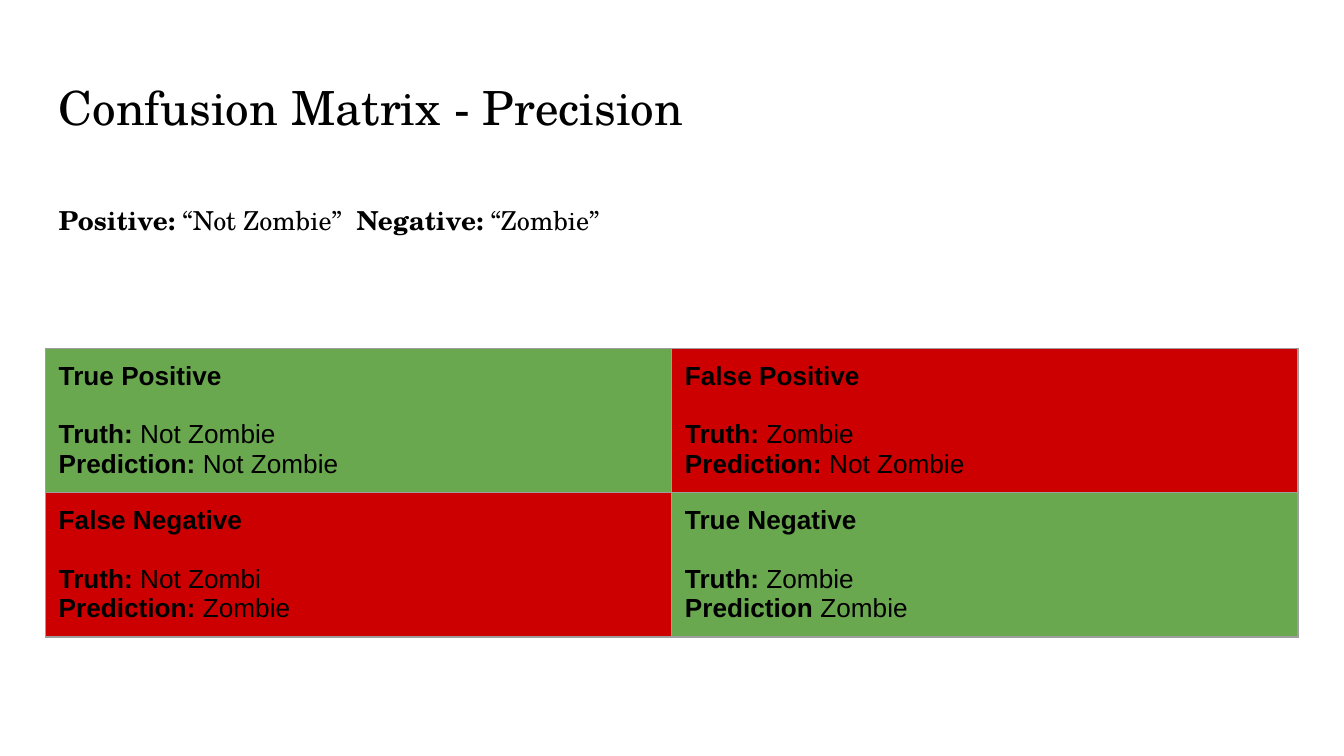
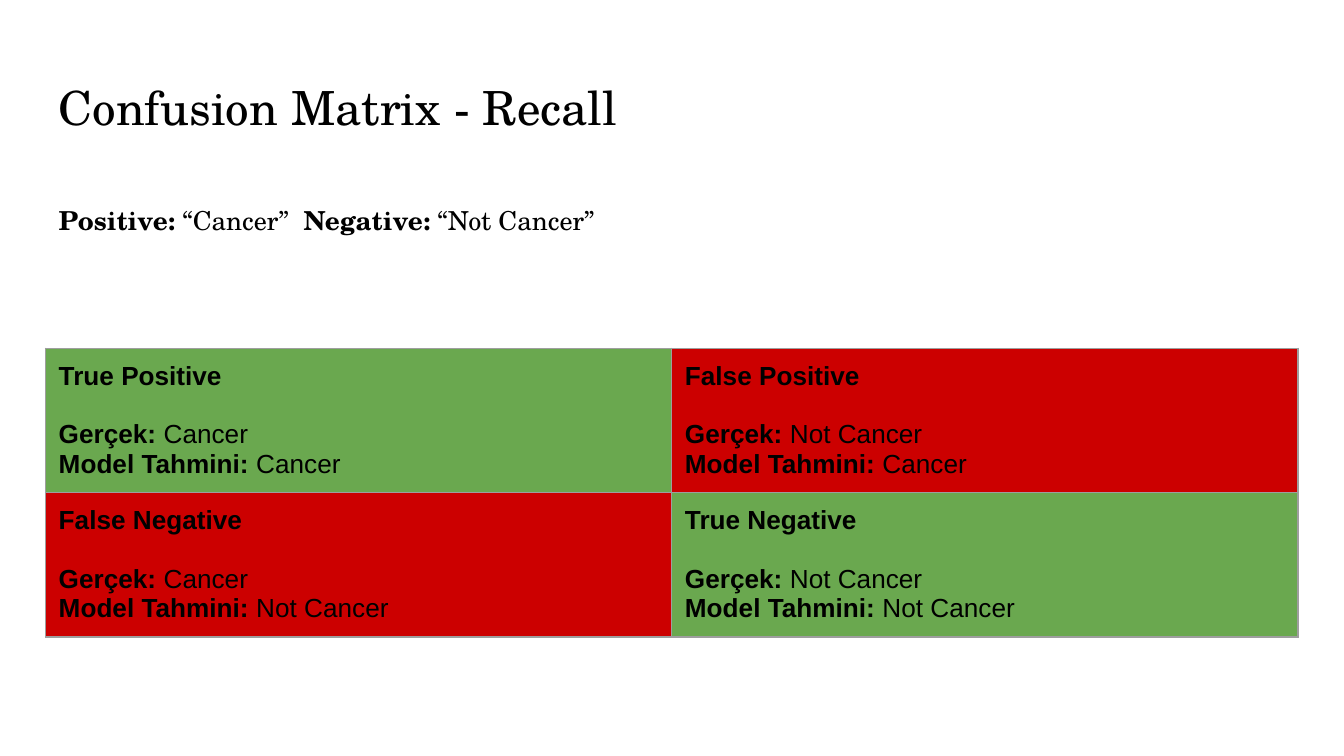
from dataclasses import dataclass

from lxml import etree
from pptx import Presentation
from pptx.dml.color import RGBColor
from pptx.enum.text import MSO_ANCHOR, MSO_AUTO_SIZE, PP_ALIGN
from pptx.oxml.ns import qn
from pptx.util import Cm, Pt

LEFT = PP_ALIGN.LEFT
TOP = MSO_ANCHOR.TOP
NO_AUTOFIT = MSO_AUTO_SIZE.NONE
TITLE_AND_CONTENT = 1
BORDER_SIDES = ("a:lnL", "a:lnR", "a:lnT", "a:lnB")


@dataclass(frozen=True)
class Theme:
    # Colours
    text: str = "000000"
    correct: str = "6AA84F"
    wrong: str = "CC0000"
    border: str = "9E9E9E"
    # Fonts and type sizes in points
    heading_font: str = "TeX Gyre Schola"
    table_font: str = "Arial"
    title_size: float = 25.2
    text_size: float = 14
    heading_gap: float = 15.8
    border_width: float = 0.75
    # Lengths in centimetres
    left: float = 0.86
    width: float = 23.67
    row_height: float = 2.73
    inset: float = 0.25


def apply_format(target, values):
    for name, value in values.items():
        setattr(target, name, value)


class Deck:
    """Holds the theme and the current slide."""

    def __init__(self, theme):
        self.theme = theme
        self.presentation = Presentation()
        apply_format(self.presentation,
                     {"slide_width": Cm(25.4), "slide_height": Cm(14.29)})
        self.slide = None

    def add_slide(self):
        layout = self.presentation.slide_layouts[TITLE_AND_CONTENT]
        self.slide = self.presentation.slides.add_slide(layout)

    def insets(self):
        sides = ("left", "right", "top", "bottom")
        return {f"margin_{side}": Cm(self.theme.inset) for side in sides}

    def fill_paragraph(self, paragraph, runs, font, size, **paragraph_format):
        """Fill a paragraph from (text, bold) pairs."""
        apply_format(paragraph, {"alignment": LEFT, "space_before": Pt(0),
                                 **paragraph_format})
        for text, bold in runs:
            run = paragraph.add_run()
            run.text = text
            apply_format(run.font, {"name": font, "size": Pt(size), "bold": bold})
            run.font.color.rgb = RGBColor.from_string(self.theme.text)

    def place(self, placeholder, top, height):
        """Move a placeholder and return its first paragraph."""
        apply_format(placeholder, {
            "left": Cm(self.theme.left), "top": Cm(top),
            "width": Cm(self.theme.width), "height": Cm(height)})
        apply_format(placeholder.text_frame, {
            "word_wrap": True, "auto_size": NO_AUTOFIT,
            "vertical_anchor": TOP, **self.insets()})
        return placeholder.text_frame.paragraphs[0]

    def title(self, text):
        paragraph = self.place(self.slide.shapes.title, 1.24, 1.6)
        self.fill_paragraph(paragraph, [(text, False)],
                            self.theme.heading_font, self.theme.title_size)

    def body(self, runs):
        paragraph = self.place(self.slide.placeholders[1], 3.53, 2.82)
        self.fill_paragraph(paragraph, runs,
                            self.theme.heading_font, self.theme.text_size,
                            line_spacing=1.15, space_after=Pt(12))
        # Plain text: no bullet and no hanging indent
        properties = paragraph._p.get_or_add_pPr()
        properties.set("marL", "0")
        properties.set("indent", "0")
        etree.SubElement(properties, qn("a:buNone"))

    def border(self, cell):
        properties = cell._tc.get_or_add_tcPr()
        for side in BORDER_SIDES:
            line = etree.SubElement(properties, qn(side),
                                    w=str(Pt(self.theme.border_width)))
            fill = etree.SubElement(line, qn("a:solidFill"))
            etree.SubElement(fill, qn("a:srgbClr"), val=self.theme.border)

    def cell(self, cell, heading, facts, colour):
        apply_format(cell, {"vertical_anchor": TOP, **self.insets()})
        self.border(cell)
        cell.fill.solid()
        cell.fill.fore_color.rgb = RGBColor.from_string(colour)
        font, size = self.theme.table_font, self.theme.text_size
        self.fill_paragraph(cell.text_frame.paragraphs[0], [(heading, True)],
                            font, size, space_after=Pt(self.theme.heading_gap))
        for label, value in facts:
            self.fill_paragraph(cell.text_frame.add_paragraph(),
                                [(label, True), (f" {value}", False)], font, size)

    def matrix(self, rows):
        theme = self.theme
        frame = self.slide.shapes.add_table(
            len(rows), len(rows[0]), Cm(theme.left), Cm(6.58),
            Cm(theme.width), Cm(theme.row_height * len(rows)))
        table = frame.table
        apply_format(table, {"first_row": False, "horz_banding": False})
        for row_index, row in enumerate(rows):
            for column_index, (heading, *facts) in enumerate(row):
                # Correct predictions lie on the diagonal
                colour = theme.correct if row_index == column_index else theme.wrong
                self.cell(table.cell(row_index, column_index), heading, facts, colour)


SLIDES = [
    {
        "title": "Confusion Matrix - Precision",
        "classes": ("“Not Zombie”", "“Zombie”"),
        "matrix": [
            [("True Positive", ("Truth:", "Not Zombie"), ("Prediction:", "Not Zombie")),
             ("False Positive", ("Truth:", "Zombie"), ("Prediction:", "Not Zombie"))],
            [("False Negative", ("Truth:", "Not Zombi"), ("Prediction:", "Zombie")),
             ("True Negative", ("Truth:", "Zombie"), ("Prediction", "Zombie"))],
        ],
    },
    {
        "title": "Confusion Matrix - Recall",
        "classes": ("“Cancer”", "“Not Cancer”"),
        "matrix": [
            [("True Positive", ("Gerçek:", "Cancer"), ("Model Tahmini:", "Cancer")),
             ("False Positive", ("Gerçek:", "Not Cancer"), ("Model Tahmini:", "Cancer"))],
            [("False Negative", ("Gerçek:", "Cancer"), ("Model Tahmini:", "Not Cancer")),
             ("True Negative", ("Gerçek:", "Not Cancer"), ("Model Tahmini:", "Not Cancer"))],
        ],
    },
]


def main():
    deck = Deck(Theme())
    for content in SLIDES:
        positive, negative = content["classes"]
        deck.add_slide()
        deck.title(content["title"])
        deck.body([("Positive:", True), (f" {positive}  ", False),
                   ("Negative:", True), (f" {negative}", False)])
        deck.matrix(content["matrix"])
    deck.presentation.save("out.pptx")


if __name__ == "__main__":
    main()
